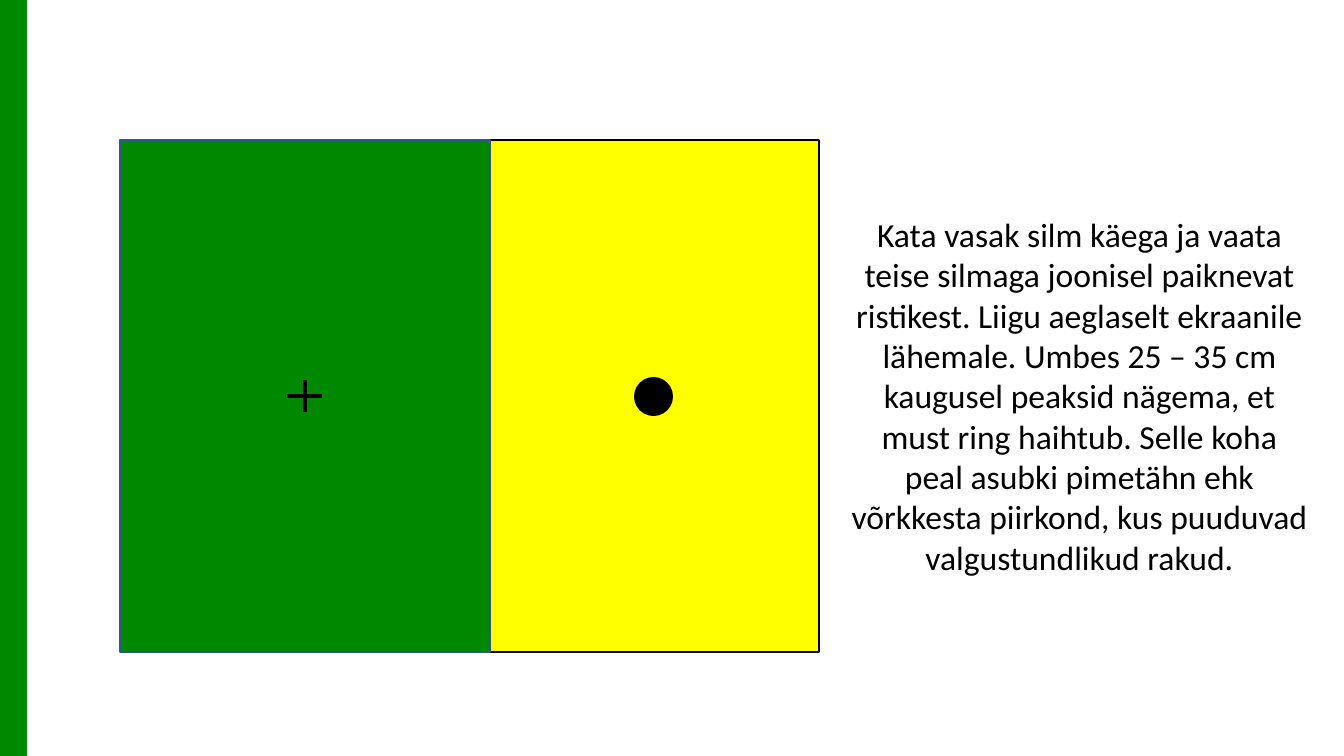
from pptx import Presentation
from pptx.dml.color import RGBColor
from pptx.enum.shapes import MSO_CONNECTOR as Link, MSO_SHAPE as Shape
from pptx.enum.text import MSO_AUTO_SIZE as Fit, PP_ALIGN as Align
from pptx.oxml.ns import qn
from pptx.util import Pt
from lxml import etree


def px(n):
    return round(n * 914400 / 100.8)


def paint(fmt, color):
    fmt.solid()
    fmt.fore_color.rgb = RGBColor.from_string(color)


deck = Presentation()
deck.slide_width, deck.slide_height = px(1344), px(756)
slide = deck.slides.add_slide(deck.slide_layouts[6])

# Instructions
box = slide.shapes.add_textbox(px(839), px(209), px(481), px(377))
frame = box.text_frame
frame.word_wrap = True
frame.auto_size = Fit.SHAPE_TO_FIT_TEXT
para = frame.paragraphs[0]
para.text = (
    "Kata vasak silm käega ja vaata teise silmaga joonisel paiknevat ristikest. "
    "Liigu aeglaselt ekraanile lähemale. Umbes 25 – 35 cm kaugusel peaksid nägema, "
    "et must ring haihtub. Selle koha peal asubki pimetähn ehk võrkkesta piirkond, "
    "kus puuduvad valgustundlikud rakud."
)
para.alignment = Align.CENTER
para.font.name = "Calibri"
para.font.size = Pt(24)
para.font.color.rgb = RGBColor.from_string("000000")

# Blind spot test: two panels and the dot
test = slide.shapes.add_group_shape()
for kind, x, y, w, h, fill, edge, width in [
    (Shape.RECTANGLE, 489, 140, 330, 512, "FFFF00", "000000", 1.5),
    (Shape.OVAL, 634, 377, 39, 39, "000000", None, 0),
    (Shape.RECTANGLE, 120, 140, 370, 512, "008800", "325491", 1),
]:
    part = test.shapes.add_shape(kind, px(x), px(y), px(w), px(h))
    part.shadow.inherit = False
    paint(part.fill, fill)
    if edge:
        paint(part.line.fill, edge)
        part.line.width = Pt(width)
    else:
        part.line.fill.background()

# Cross in the test, and the bar on the left edge of the slide
for home, x1, y1, x2, y2, color, width in [
    (test, 305, 380, 305, 412, "000000", 3),
    (test, 322, 396, 287, 396, "000000", 3),
    (slide, 13, 0, 13, 756, "008800", 19.5),
]:
    line = home.shapes.add_connector(Link.STRAIGHT, px(x1), px(y1), px(x2), px(y2))
    paint(line.line.fill, color)
    line.line.width = Pt(width)
    etree.SubElement(line._element.spPr, qn("a:effectLst"))

deck.save("out.pptx")
